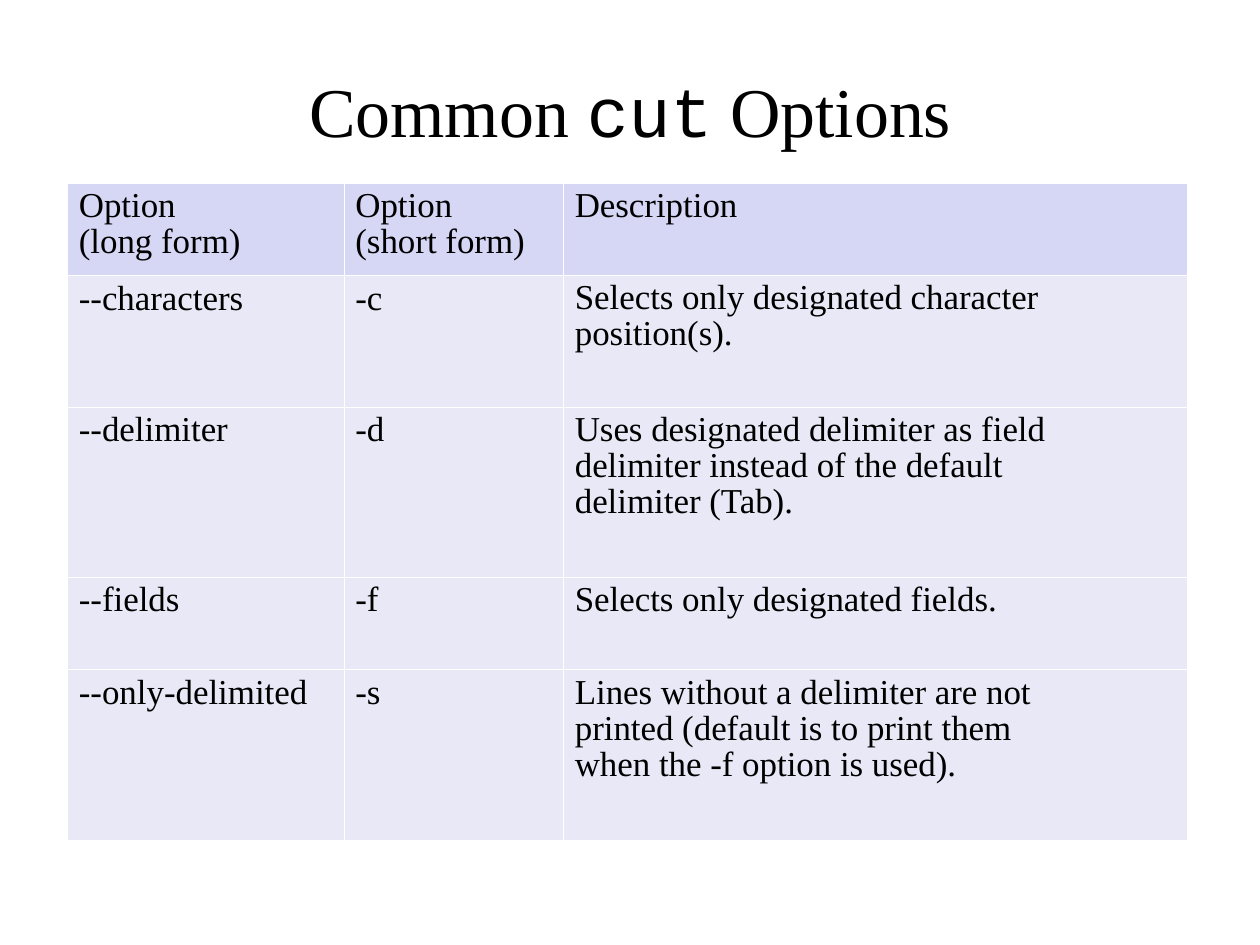
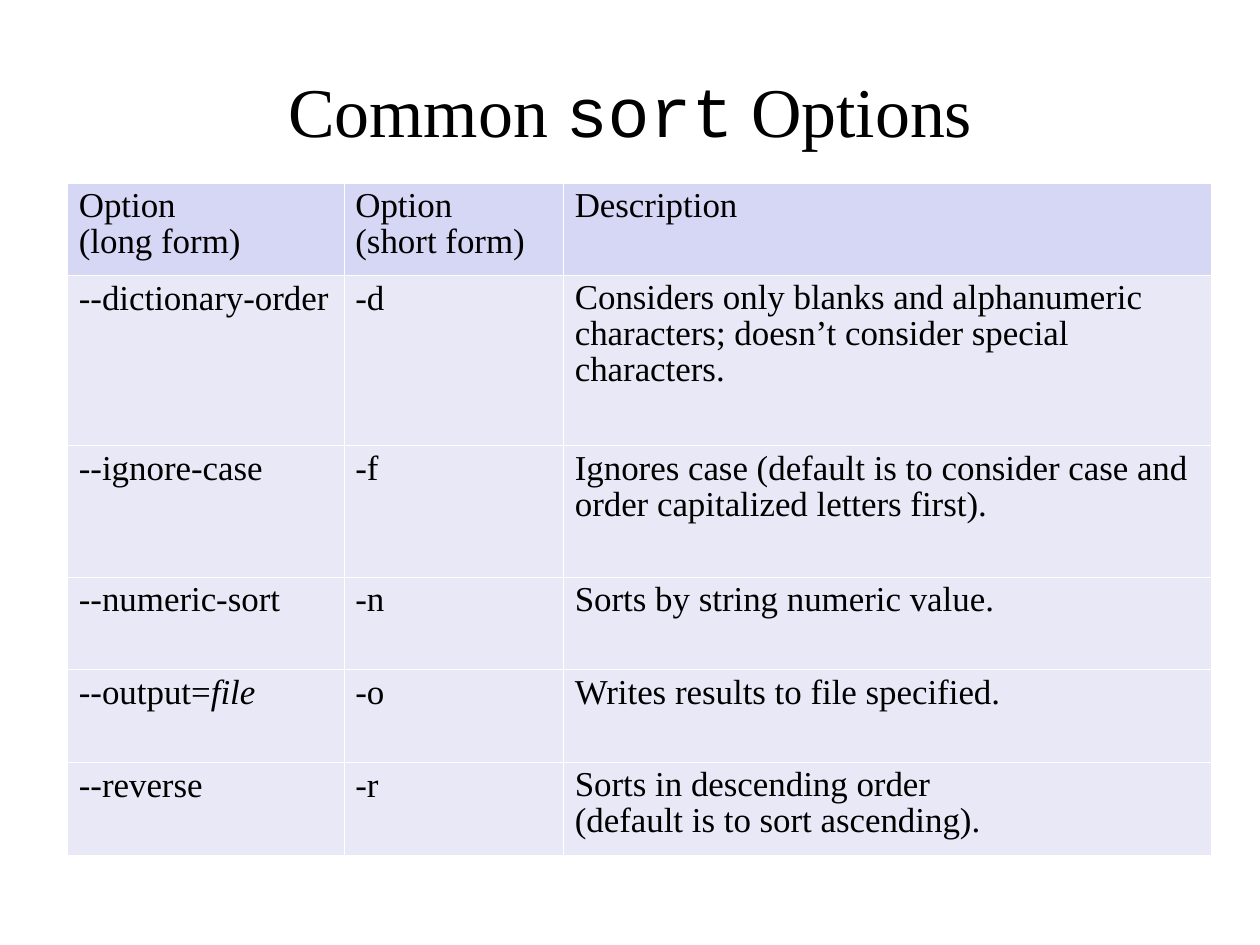
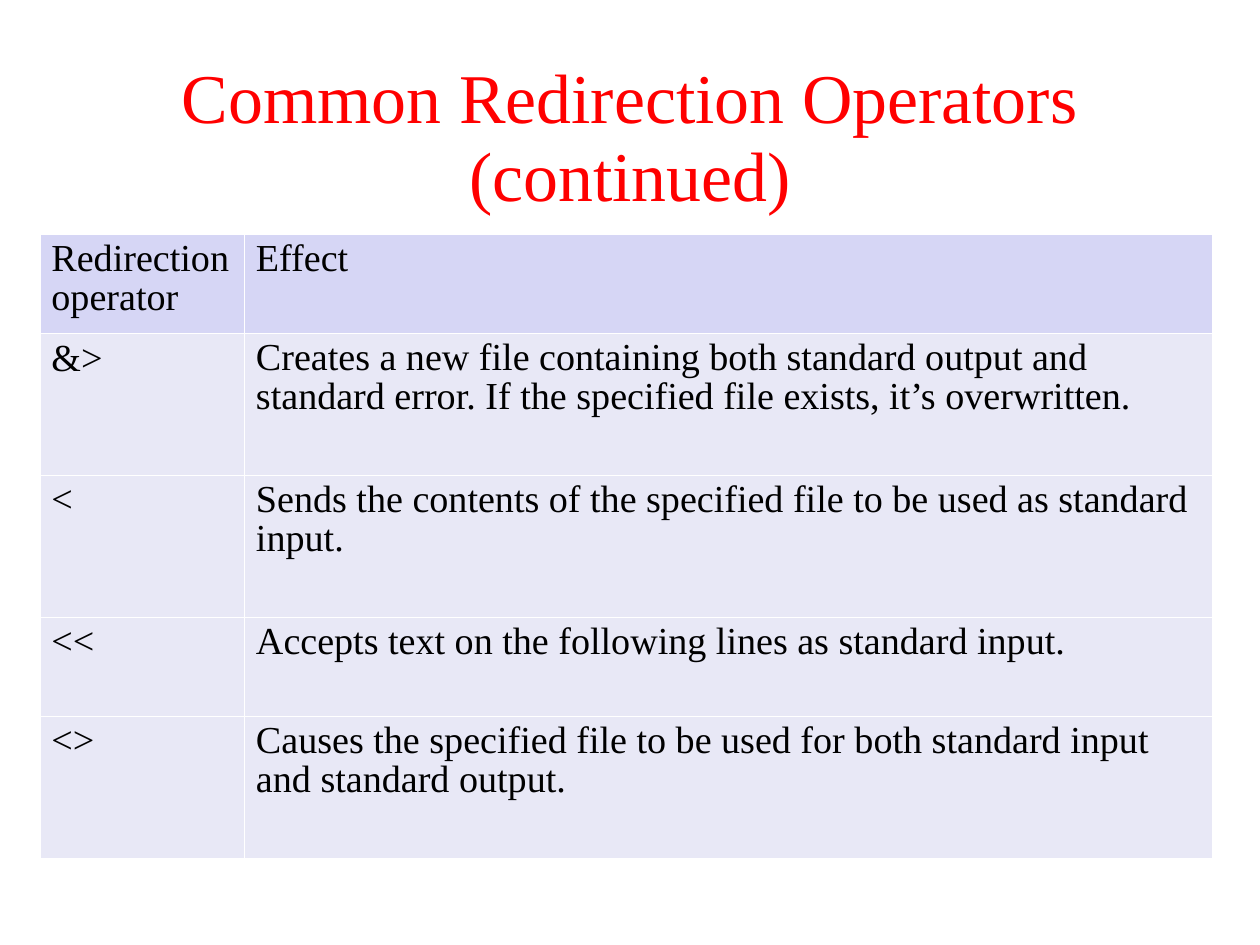
from lxml import etree
from pptx import Presentation
from pptx import util as u
from pptx.dml.color import RGBColor
from pptx.enum import text as t
from pptx.oxml import ns

BLACK = RGBColor(0x00, 0x00, 0x00)
RED = RGBColor(0xFF, 0x00, 0x00)
HEADER_FILL = RGBColor(0xD6, 0xD6, 0xF5)
BODY_FILL = RGBColor(0xE8, 0xE8, 0xF6)
BORDER = RGBColor(0xFF, 0xFF, 0xFF)
SERIF = "Times New Roman"
MONO = "Courier New"


def write(frame, content, size, color=BLACK, align=t.PP_ALIGN.LEFT, spacing=0.93,
          accent_font=SERIF, accent_italic=False):
    frame.word_wrap = True
    for number, block in enumerate(content.split("\n")):
        paragraph = frame.add_paragraph() if number else frame.paragraphs[0]
        paragraph.alignment = align
        paragraph.line_spacing = spacing
        for line_number, line in enumerate(block.split("\v")):
            if line_number:
                paragraph.add_line_break()
            for position, part in enumerate(line.split("*")):
                if not part:
                    continue
                accented = position % 2 == 1
                run = paragraph.add_run()
                run.text = part
                run.font.size = u.Pt(size)
                run.font.color.rgb = color
                run.font.name = accent_font if accented else SERIF
                run.font.italic = accented and accent_italic


def outline(cell, color, width):
    properties = cell._tc.get_or_add_tcPr()
    for index, side in enumerate(("lnL", "lnR", "lnT", "lnB")):
        line = etree.Element(ns.qn(f"a:{side}"), w=str(u.Pt(width)))
        fill = etree.SubElement(line, ns.qn("a:solidFill"))
        etree.SubElement(fill, ns.qn("a:srgbClr"), val=str(color))
        properties.insert(index, line)


OPTION_HEADER = ("Option \v(long form)", "Option \v(short form)", "Description")

pages = [
    {
        "title": "Common *cut* Options",
        "title_color": BLACK,
        "title_top": 0.61,
        "title_height": 0.73,
        "origin": (0.59, 1.6),
        "size": 22,
        "columns": (2.42, 1.92, 5.46),
        "heights": (0.81, 1.15, 1.49, 0.81, 1.49),
        "rows": (
            OPTION_HEADER,
            ("--characters", "-c", "Selects only designated character\nposition(s)."),
            ("--delimiter", "-d",
             "Uses designated delimiter as field\ndelimiter instead of the default\ndelimiter (Tab)."),
            ("--fields", "-f", "Selects only designated fields."),
            ("--only-delimited", "-s",
             "Lines without a delimiter are not\nprinted (default is to print them\n"
             "when the -f option is used)."),
        ),
    },
    {
        "title": "Common *sort* Options",
        "title_color": BLACK,
        "title_top": 0.61,
        "title_height": 0.73,
        "origin": (0.59, 1.6),
        "size": 22,
        "columns": (2.42, 1.92, 5.67),
        "heights": (0.81, 1.49, 1.15, 0.81, 0.81, 0.81),
        "rows": (
            OPTION_HEADER,
            ("--dictionary-order", "-d",
             "Considers only blanks and alphanumeric\n"
             "characters; doesn’t consider special characters."),
            ("--ignore-case", "-f",
             "Ignores case (default is to consider case and order capitalized letters first)."),
            ("--numeric-sort", "-n", "Sorts by string numeric value."),
            ("--output=*file*", "-o", "Writes results to file specified."),
            ("--reverse", "-r", "Sorts in descending order \v(default is to sort ascending)."),
        ),
    },
    {
        "title": "Common Redirection Operators\v(continued)",
        "title_color": RED,
        "title_top": 0.69,
        "title_height": 1.01,
        "origin": (0.35, 2.05),
        "size": 24,
        "columns": (1.79, 8.47),
        "heights": (0.87, 1.24, 1.24, 0.87, 1.24),
        "rows": (
            ("Redirection operator", "Effect"),
            ("&>", "Creates a new file containing both standard output and standard error. "
                   "If the specified file exists, it’s overwritten."),
            ("<", "Sends the contents of the specified file to be used as standard input."),
            ("<<", "Accepts text on the following lines as standard input."),
            ("<>", "Causes the specified file to be used for both standard input "
                   "and standard output."),
        ),
    },
]

deck = Presentation()
deck.slide_width = u.Emu(10080625)
deck.slide_height = u.Emu(7559675)

for page in pages:
    slide = deck.slides.add_slide(deck.slide_layouts[6])

    title = slide.shapes.add_textbox(u.Inches(0.81), u.Inches(page["title_top"]),
                                     u.Inches(9.41), u.Inches(page["title_height"])).text_frame
    title.margin_left = title.margin_right = title.margin_bottom = 0
    title.margin_top = u.Inches(0.04)
    title.vertical_anchor = t.MSO_ANCHOR.MIDDLE
    write(title, page["title"], 44, color=page["title_color"],
          align=t.PP_ALIGN.CENTER, accent_font=MONO)

    left, top = page["origin"]
    columns, heights, rows = page["columns"], page["heights"], page["rows"]
    options = slide.shapes.add_table(len(rows), len(columns), u.Inches(left), u.Inches(top),
                                     u.Inches(sum(columns)), u.Inches(sum(heights))).table
    options.first_row = False
    options.horz_banding = False
    for column, width in zip(options.columns, columns):
        column.width = u.Inches(width)
    for row, height in zip(options.rows, heights):
        row.height = u.Inches(height)

    for row_number, entries in enumerate(rows):
        for column_number, entry in enumerate(entries):
            cell = options.cell(row_number, column_number)
            cell.margin_left = cell.margin_right = u.Inches(0.1)
            cell.margin_top = cell.margin_bottom = u.Inches(0.05)
            cell.fill.solid()
            cell.fill.fore_color.rgb = BODY_FILL if row_number else HEADER_FILL
            outline(cell, BORDER, 0.45)
            is_operator = row_number > 0 and column_number < len(columns) - 1
            write(cell.text_frame, entry, page["size"],
                  spacing=0.94 if is_operator else 0.93, accent_italic=True)

deck.save("out.pptx")
